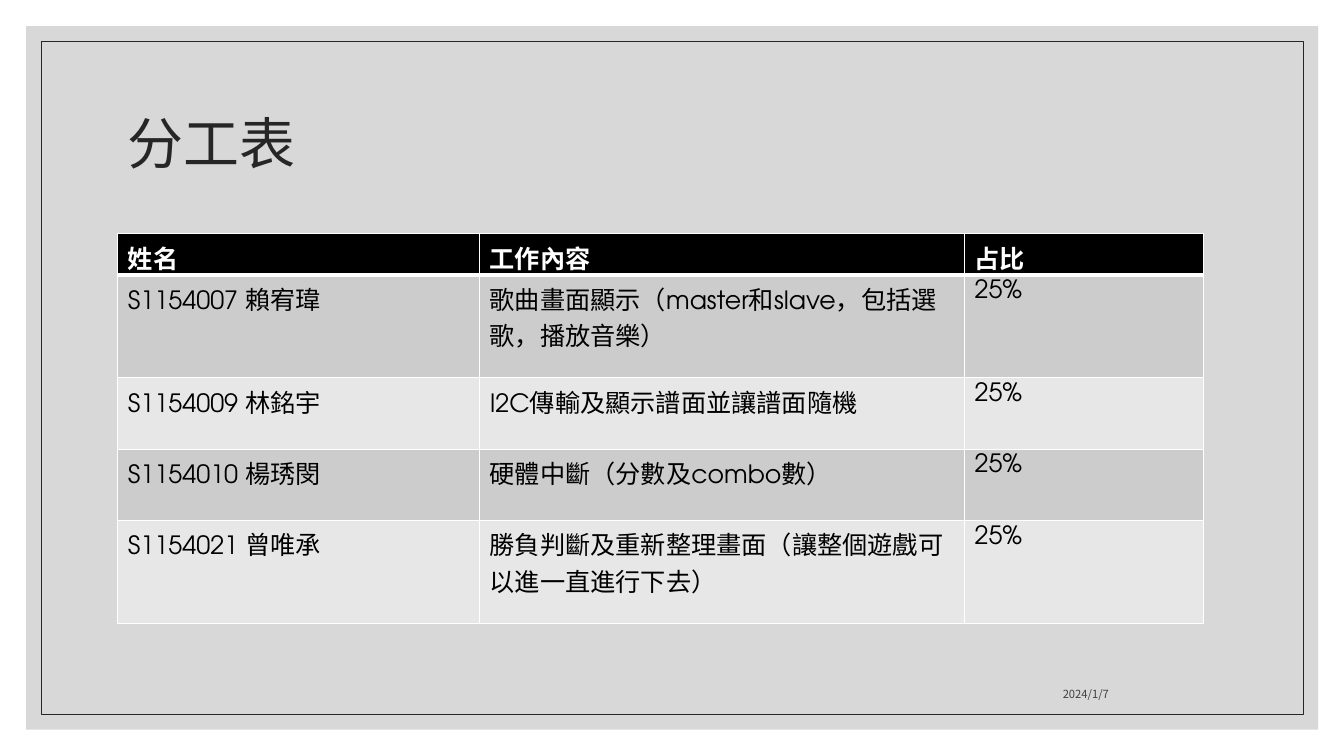
from lxml import etree
from pptx import Presentation
from pptx import util as u
from pptx.dml.color import RGBColor
from pptx.enum import shapes, text
from pptx.oxml.ns import qn

CJK_FONT = "Noto Sans CJK TC"
LATIN_FONT = "TeX Gyre Adventor"

HEADINGS = ("姓名", "工作內容", "占比")
DUTIES = (
    ("S1154007 賴宥瑋", "歌曲畫面顯示（master和slave，包括選歌，播放音樂）"),
    ("S1154009 林銘宇", "I2C傳輸及顯示譜面並讓譜面隨機"),
    ("S1154010 楊琇閔", "硬體中斷（分數及combo數）"),
    ("S1154021 曾唯承", "勝負判斷及重新整理畫面（讓整個遊戲可以進一直進行下去）"),
)
SHARE = "25%"
COLUMN_WIDTHS = (9.12, 12.22, 6.02)
ROW_HEIGHTS = (1.04, 2.59, 1.8, 1.8, 2.59)


def rgb(hex_color):
    return RGBColor.from_string(hex_color)


def cm_box(*lengths):
    return [u.Cm(length) for length in lengths]


def style_paragraph(paragraph, size, color, latin=CJK_FONT, bold=False):
    for run in paragraph.runs:
        font = run.font
        font.size = u.Pt(size)
        font.bold = bold
        font.color.rgb = rgb(color)
        font.name = latin
        east_asian = etree.Element(qn("a:ea"), typeface=CJK_FONT)
        run._r.rPr.find(qn("a:latin")).addnext(east_asian)


def add_panel(slide, box, fill=None, opacity=100, line=None):
    panel = slide.shapes.add_shape(shapes.MSO_SHAPE.RECTANGLE, *cm_box(*box))
    panel.shadow.inherit = False
    if fill:
        panel.fill.solid()
        panel.fill.fore_color.rgb = rgb(fill)
        tint = panel._element.spPr.find(qn("a:solidFill"))[0]
        etree.SubElement(tint, qn("a:alpha"), val=str(opacity * 1000))
    else:
        panel.fill.background()
    if line:
        panel.line.color.rgb = rgb(line)
        panel.line.width = u.Pt(0.5)
    else:
        panel.line.fill.background()


def add_label(slide, box, wording, size, color, anchor, align):
    frame = slide.shapes.add_textbox(*cm_box(*box)).text_frame
    frame.word_wrap = True
    frame.vertical_anchor = anchor
    frame.text = wording
    paragraph = frame.paragraphs[0]
    paragraph.alignment = align
    paragraph.line_spacing = 0.9
    style_paragraph(paragraph, size, color)


def add_borders(cell, top, bottom):
    """Draw white cell borders; top and bottom are widths in points."""
    properties = cell._tc.get_or_add_tcPr()
    for side, width in (("L", 1), ("R", 1), ("T", top), ("B", bottom)):
        border = etree.SubElement(properties, qn(f"a:ln{side}"), w=str(u.Pt(width)))
        fill = etree.SubElement(border, qn("a:solidFill"))
        etree.SubElement(fill, qn("a:srgbClr"), val="FFFFFF")


def fill_cell(cell, wording, row):
    is_heading = row == 0
    cell.text = wording
    style_paragraph(cell.text_frame.paragraphs[0], 18,
                    "FFFFFF" if is_heading else "000000", LATIN_FONT, is_heading)
    add_borders(cell, top=3 if row == 1 else 1, bottom=3 if is_heading else 1)
    cell.fill.solid()
    band = "CCCCCC" if row % 2 else "E7E7E7"
    cell.fill.fore_color.rgb = rgb("000000" if is_heading else band)


def add_duty_table(slide, left, top):
    rows = [HEADINGS] + [(*duty, SHARE) for duty in DUTIES]
    box = cm_box(left, top, sum(COLUMN_WIDTHS), sum(ROW_HEIGHTS))
    table = slide.shapes.add_table(len(rows), len(HEADINGS), *box).table
    for column, width in zip(table.columns, COLUMN_WIDTHS):
        column.width = u.Cm(width)
    for row, (wordings, height) in enumerate(zip(rows, ROW_HEIGHTS)):
        table.rows[row].height = u.Cm(height)
        for column, wording in enumerate(wordings):
            fill_cell(table.cell(row, column), wording, row)


def main():
    deck = Presentation()
    deck.slide_width, deck.slide_height = cm_box(33.87, 19.05)
    slide = deck.slides.add_slide(deck.slide_layouts[6])

    add_panel(slide, (0.66, 0.66, 32.56, 17.73), fill="BFBFBF", opacity=60)
    add_panel(slide, (1.04, 1.04, 31.8, 16.97), line="262626")
    add_label(slide, (2.97, 1.78, 27.94, 3.81), "分工表", 40, "262626",
              text.MSO_ANCHOR.MIDDLE, text.PP_ALIGN.LEFT)
    add_duty_table(slide, 2.97, 5.89)
    add_label(slide, (20.17, 16.76, 8.03, 1.02), "2024/1/7", 8, "404040",
              text.MSO_ANCHOR.BOTTOM, text.PP_ALIGN.RIGHT)

    deck.save("out.pptx")


if __name__ == "__main__":
    main()
